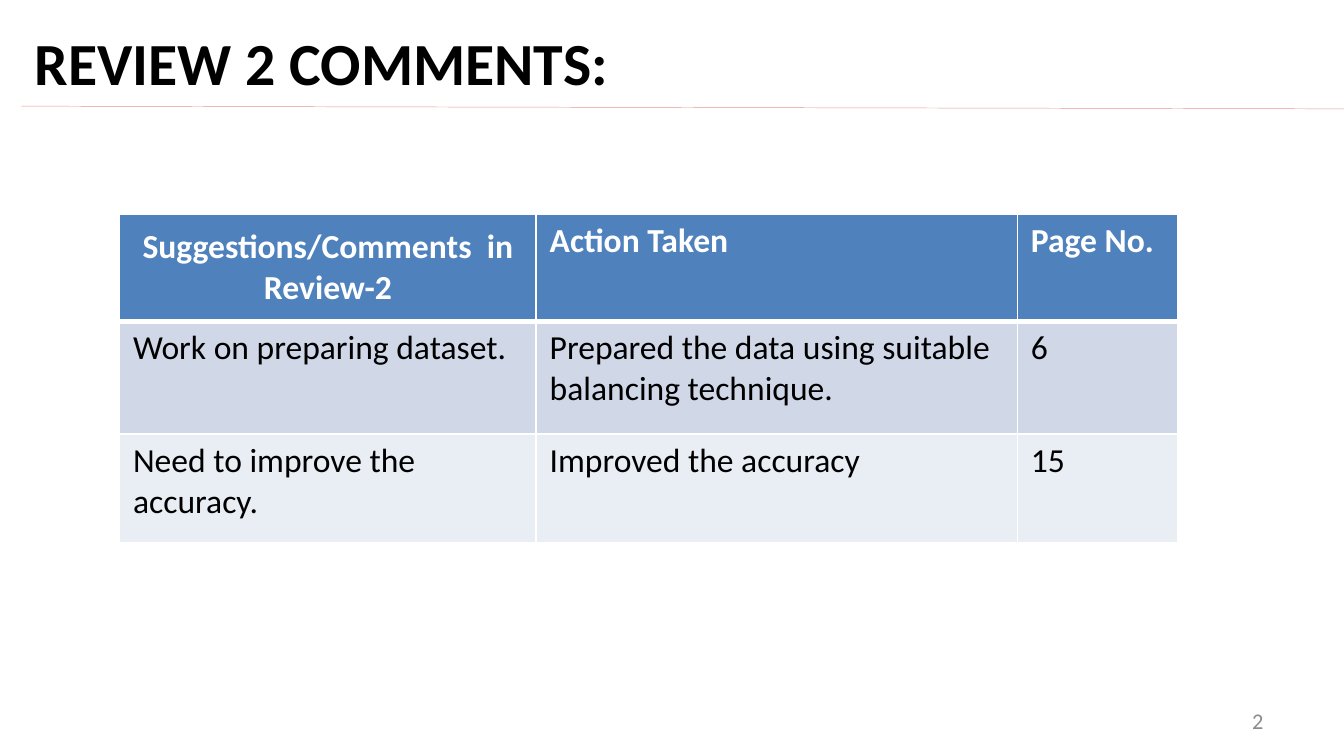
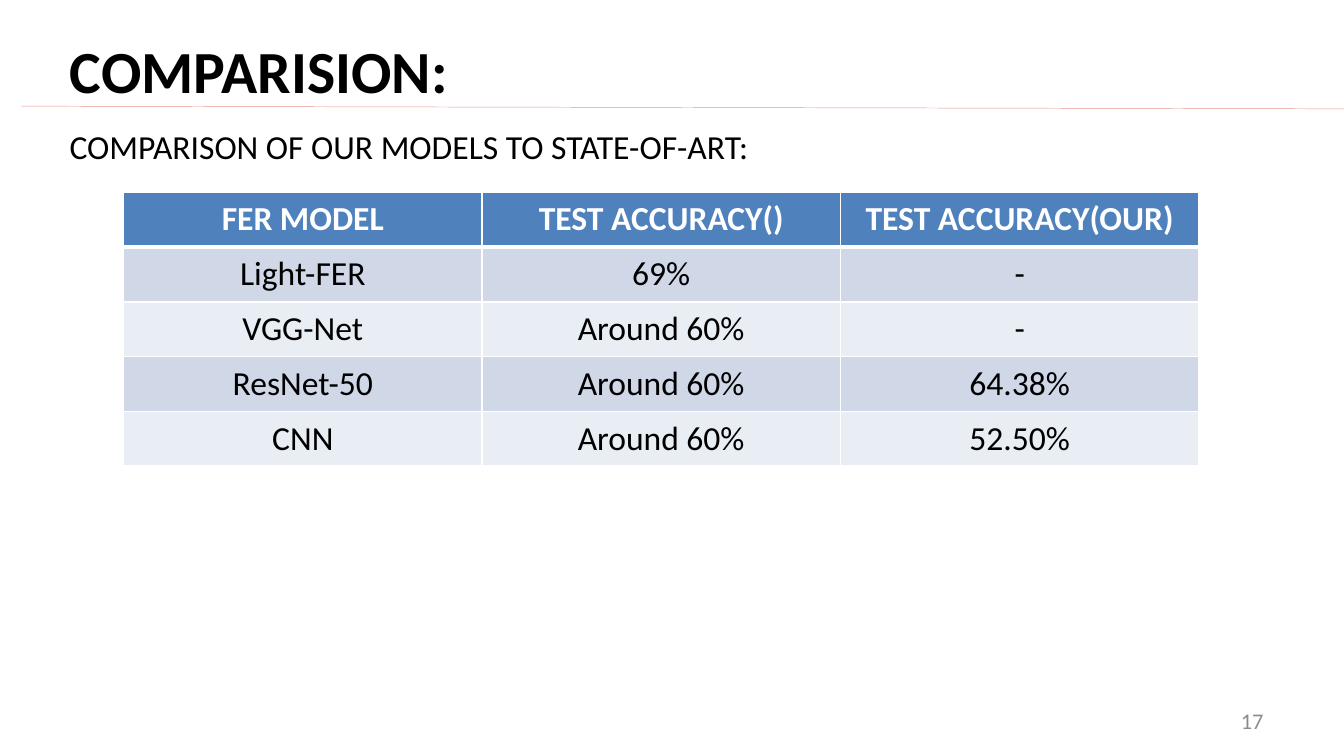
from dataclasses import dataclass

from lxml import etree
from pptx import Presentation
from pptx.dml.color import RGBColor
from pptx.enum import shapes, text
from pptx.oxml import ns
from pptx.util import Inches, Pt

# Shared look
FONT = "Calibri"
BLACK, WHITE, GREY = "000000", "FFFFFF", "8C8C8C"
HEADER_FILL = "4F81BD"
BAND_FILLS = ("D0D8E8", "E9EDF4")
RULE_COLOUR = "E4948A"
LEFT, CENTER, RIGHT = text.PP_ALIGN.LEFT, text.PP_ALIGN.CENTER, text.PP_ALIGN.RIGHT
TOP, MIDDLE = text.MSO_ANCHOR.TOP, text.MSO_ANCHOR.MIDDLE
TITLE_ONLY_LAYOUT = 5


@dataclass(frozen=True)
class Box:
    left: float
    top: float
    width: float
    height: float

    def lengths(self) -> tuple:
        return tuple(Inches(n) for n in (self.left, self.top, self.width, self.height))


@dataclass(frozen=True)
class Style:
    size: float
    colour: str = BLACK
    bold: bool = False
    align: int = LEFT
    anchor: int = TOP


@dataclass(frozen=True)
class TableSpec:
    left: float
    top: float
    columns: tuple
    row_heights: tuple
    rows: tuple
    centred: bool = False
    first_header_centred: bool = False


TITLE_STYLE = Style(32, bold=True)
SUBTITLE_STYLE = Style(18)
NUMBER_STYLE = Style(12, GREY, align=RIGHT, anchor=MIDDLE)
NUMBER_BOX = Box(7.17, 5.21, 2.33, 0.3)


def colour(value: str) -> RGBColor:
    return RGBColor.from_string(value)


# Text
def write(frame, words: str, style: Style) -> None:
    paragraph = frame.paragraphs[0]
    paragraph.alignment = style.align
    run = paragraph.add_run()
    run.text = words
    run.font.name = FONT
    run.font.size = Pt(style.size)
    run.font.bold = style.bold
    run.font.color.rgb = colour(style.colour)


def fill_text_shape(shape, words: str, style: Style, wrap: bool = True) -> None:
    frame = shape.text_frame
    frame.word_wrap = wrap
    frame.auto_size = text.MSO_AUTO_SIZE.NONE
    frame.vertical_anchor = style.anchor
    write(frame, words, style)


def add_text(slide, box: Box, words: str, style: Style) -> None:
    fill_text_shape(slide.shapes.add_textbox(*box.lengths()), words, style)


# Slide frame: title, thin rule and page number
def add_page(presentation, title: str, title_box: Box, number: int, wrap: bool = True):
    slide = presentation.slides.add_slide(presentation.slide_layouts[TITLE_ONLY_LAYOUT])
    title_shape = slide.shapes.title
    title_shape.left, title_shape.top, title_shape.width, title_shape.height = title_box.lengths()
    fill_text_shape(title_shape, title, TITLE_STYLE, wrap)

    rule = slide.shapes.add_connector(
        shapes.MSO_CONNECTOR.STRAIGHT, Inches(0.16), Inches(0.79), Inches(10), Inches(0.81))
    rule.line.color.rgb = colour(RULE_COLOUR)
    rule.line.width = Pt(0.25)
    etree.SubElement(rule._element.spPr, ns.qn("a:effectLst"))

    add_text(slide, NUMBER_BOX, str(number), NUMBER_STYLE)
    return slide


# Tables
def set_borders(cell, top: float, bottom: float) -> None:
    properties = cell._tc.get_or_add_tcPr()
    for side, width in (("L", 1), ("R", 1), ("T", top), ("B", bottom)):
        line = etree.SubElement(properties, ns.qn(f"a:ln{side}"), w=str(Pt(width)))
        solid = etree.SubElement(line, ns.qn("a:solidFill"))
        etree.SubElement(solid, ns.qn("a:srgbClr"), val=WHITE)


def add_table(slide, spec: TableSpec) -> None:
    box = Box(spec.left, spec.top, sum(spec.columns), sum(spec.row_heights))
    table = slide.shapes.add_table(
        len(spec.rows), len(spec.columns), *box.lengths()).table
    for column, width in zip(table.columns, spec.columns):
        column.width = Inches(width)
    for row, height in zip(table.rows, spec.row_heights):
        row.height = Inches(height)

    for row_index, row in enumerate(spec.rows):
        header = row_index == 0
        fill = HEADER_FILL if header else BAND_FILLS[(row_index - 1) % 2]
        for column_index, words in enumerate(row):
            cell = table.cell(row_index, column_index)
            special = spec.first_header_centred and header and column_index == 0
            style = Style(18, WHITE if header else BLACK, header,
                          CENTER if spec.centred or special else LEFT,
                          MIDDLE if special else TOP)
            set_borders(cell, 3 if row_index == 1 else 1, 3 if header else 1)
            cell.fill.solid()
            cell.fill.fore_color.rgb = colour(fill)
            cell.vertical_anchor = style.anchor
            write(cell.text_frame, words, style)


REVIEW_TABLE = TableSpec(
    0.89, 1.59, (3.1, 3.58, 1.19), (0.8, 0.84, 0.81),
    (
        ("Suggestions/Comments  in Review-2", "Action Taken", "Page No."),
        ("Work on preparing dataset.",
         "Prepared the data using suitable balancing technique.", "6"),
        ("Need to improve the accuracy.", "Improved the accuracy", "15"),
    ),
    first_header_centred=True,
)

ACCURACY_TABLE = TableSpec(
    0.92, 1.43, (8 / 3,) * 3, (2.04 / 5,) * 5,
    (
        ("FER MODEL", "TEST ACCURACY()", "TEST ACCURACY(OUR)"),
        ("Light-FER", "69%", "-"),
        ("VGG-Net", "Around 60%", "-"),
        ("ResNet-50", "Around 60%", "64.38%"),
        ("CNN", "Around 60%", "52.50%"),
    ),
    centred=True,
)


def main() -> None:
    # Widescreen page, 16:9
    presentation = Presentation()
    presentation.slide_width = Inches(10)
    presentation.slide_height = Inches(10 * 9 / 16)

    # Review comments
    review = add_page(presentation, "REVIEW 2 COMMENTS:",
                      Box(0.16, 0.14, 4.61, 0.64), 2, wrap=False)
    add_table(review, REVIEW_TABLE)

    # Model comparison
    comparison = add_page(presentation, "COMPARISION:", Box(0.42, 0.2, 8.92, 0.64), 17)
    add_table(comparison, ACCURACY_TABLE)
    add_text(comparison, Box(0.42, 0.89, 5.67, 0.4),
             "COMPARISON OF OUR MODELS TO STATE-OF-ART:", SUBTITLE_STYLE)

    presentation.save("out.pptx")


if __name__ == "__main__":
    main()
